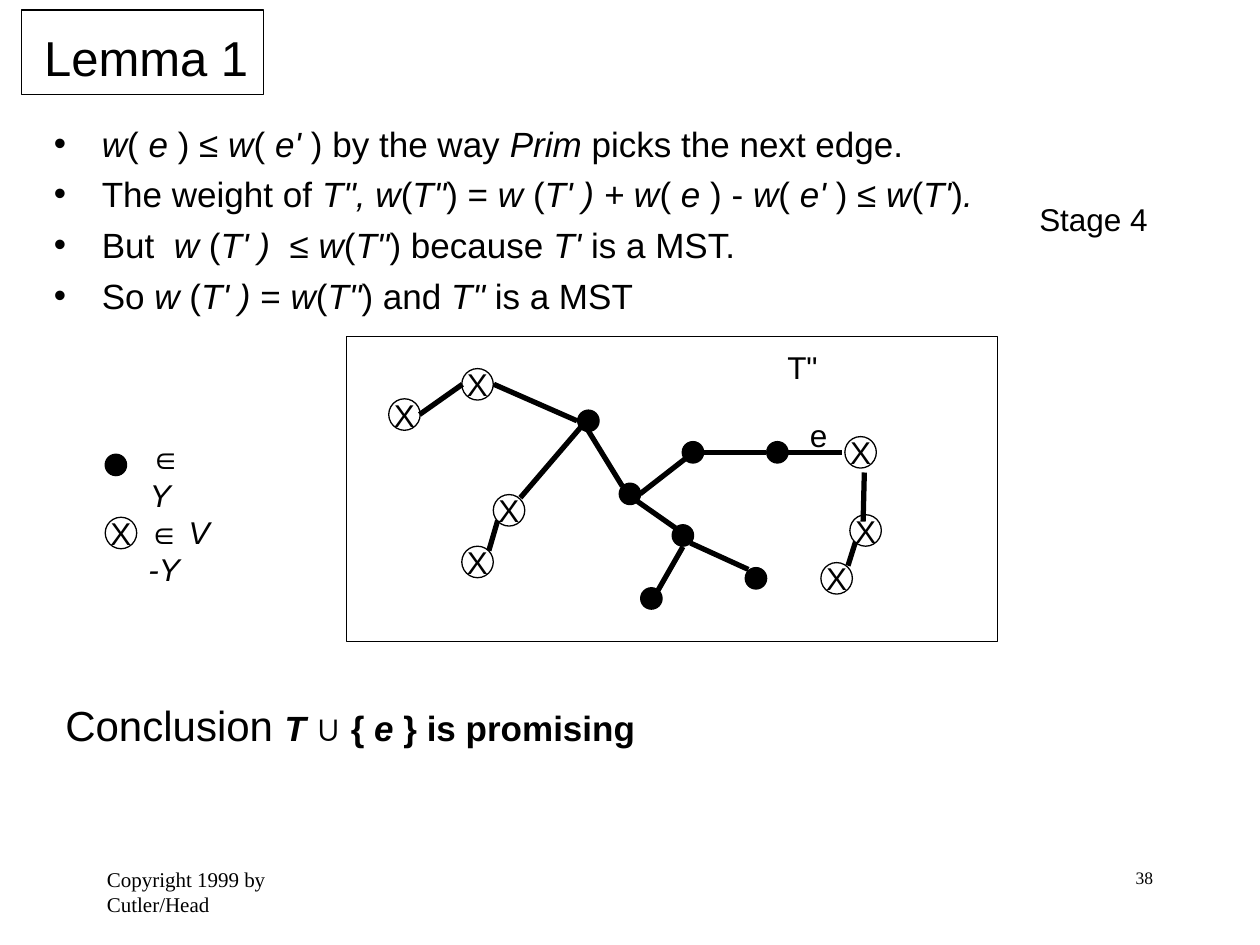
from lxml.etree import SubElement
from pptx import Presentation
from pptx.dml.color import RGBColor
from pptx.enum.shapes import MSO_CONNECTOR, MSO_SHAPE
from pptx.enum.text import MSO_ANCHOR, MSO_AUTO_SIZE, PP_ALIGN
from pptx.oxml.ns import qn
from pptx.util import Inches, Pt

BLACK = "000000"
WHITE = "FFFFFF"

BULLETS = [
    "*w*( *e *) ≤ *w*( *e' *) by the way *Prim *picks the next edge.",
    "The weight of *T\", w*(*T\"*) = *w *(*T' ) + w*( *e *) - *w*( *e' *) ≤ *w*(*T'*)*.*",
    "But  *w *(*T' )  *≤ *w*(*T\"*) because *T'* is a MST.",
    "So *w *(*T' ) *= *w*(*T\"*) and *T\"* is a MST",
]
MEMBER_NODES = [(1.92, 0.67), (2.25, 1.25), (2.67, 1.58), (2.75, 0.92),
                (3.42, 0.92), (2.42, 2.08), (3.25, 1.92)]
OUTSIDE_NODES = [(1.04, 0.38), (1.04, 1.79), (1.29, 1.38), (4.12, 1.54),
                 (4.08, 0.92), (3.89, 1.92), (0.46, 0.62)]
EDGES = [
    (1.92, 0.75, 2.19, 1.19), (2.33, 1.25, 2.69, 0.97),
    (2.83, 0.92, 3.33, 0.92), (2.31, 1.31, 2.61, 1.52),
    (2.67, 1.67, 2.47, 2.02), (2.73, 1.64, 3.19, 1.85),
    (1.83, 0.67, 1.17, 0.38), (0.92, 0.38, 0.58, 0.62),
    (1.38, 1.28, 1.86, 0.72), (1.2, 1.46, 1.13, 1.7),
    (3.5, 0.92, 3.93, 0.92), (3.98, 1.82, 4.04, 1.63),
    (4.11, 1.08, 4.1, 1.47),
]


def color(value):
    return RGBColor.from_string(value)


def format_run(run, size, name="Arial", bold=False, italic=False):
    run.font.size = Pt(size)
    run.font.name = name
    run.font.bold = bold
    run.font.italic = italic
    run.font.color.rgb = color(BLACK)


def write(paragraph, marked_text, size, name="Arial", bold=False):
    for index, part in enumerate(marked_text.split("*")):
        if part:
            run = paragraph.add_run()
            run.text = part
            format_run(run, size, name, bold, italic=index % 2 == 1)


def add_text(slide, left, top, width, height, marked_text="", size=18,
             name="Arial", wrap=True):
    box = slide.shapes.add_textbox(
        Inches(left), Inches(top), Inches(width), Inches(height))
    box.text_frame.word_wrap = wrap
    write(box.text_frame.paragraphs[0], marked_text, size, name)
    return box.text_frame


def add_outlined(slide, kind, left, top, width, height, fill=None):
    shape = slide.shapes.add_shape(
        kind, Inches(left), Inches(top), Inches(width), Inches(height))
    shape.shadow.inherit = False
    if fill:
        shape.fill.solid()
        shape.fill.fore_color.rgb = color(fill)
    else:
        shape.fill.background()
    shape.line.color.rgb = color(BLACK)
    shape.line.width = Pt(0.75)
    return shape


def add_node(slide, center_x, center_y, member):
    diameter = 0.17 if member else 0.25
    node = add_outlined(slide, MSO_SHAPE.OVAL, center_x - diameter / 2,
                        center_y - diameter / 2, diameter, diameter,
                        BLACK if member else WHITE)
    if not member:
        text_frame = node.text_frame
        text_frame.word_wrap = False
        text_frame.vertical_anchor = MSO_ANCHOR.MIDDLE
        text_frame.paragraphs[0].alignment = PP_ALIGN.CENTER
        write(text_frame.paragraphs[0], "X", 18)


def add_edge(slide, start_x, start_y, end_x, end_y):
    edge = slide.shapes.add_connector(
        MSO_CONNECTOR.STRAIGHT, Inches(start_x), Inches(start_y),
        Inches(end_x), Inches(end_y))
    edge.line.color.rgb = color(BLACK)
    edge.line.width = Pt(3)
    SubElement(edge._element.spPr, qn("a:effectLst"))


def add_title(slide, left, top, width, height):
    title = slide.shapes.title
    title.left, title.top = Inches(left + 0.08), Inches(top + 0.09)
    title.width, title.height = Inches(width - 0.1), Inches(height - 0.1)
    text_frame = title.text_frame
    text_frame.text = "Lemma 1"
    text_frame.word_wrap = False
    text_frame.auto_size = MSO_AUTO_SIZE.NONE
    text_frame.vertical_anchor = MSO_ANCHOR.TOP
    paragraph = text_frame.paragraphs[0]
    paragraph.alignment = PP_ALIGN.LEFT
    format_run(paragraph.runs[0], 28)
    add_outlined(slide, MSO_SHAPE.RECTANGLE, left, top, width, height)


def add_bullets(slide, left, top, width, height):
    text_frame = add_text(slide, left, top, width, height)
    for index, line in enumerate(BULLETS):
        paragraph = text_frame.add_paragraph() if index else text_frame.paragraphs[0]
        if index:
            paragraph.space_before = Pt(5)
        properties = paragraph._p.get_or_add_pPr()
        properties.set("marL", str(Inches(0.38)))
        properties.set("indent", str(Inches(-0.38)))
        SubElement(properties, qn("a:buFont"), typeface="Arial")
        SubElement(properties, qn("a:buChar"), char="•")
        write(paragraph, line, 20)


def add_legend(slide, left, top):
    add_node(slide, left + 0.09, top + 0.26, True)
    add_node(slide, left + 0.13, top + 0.8, False)
    add_text(slide, left + 0.26, top, 0.61, 0.4, "∈ *Y*")
    add_text(slide, left + 0.25, top + 0.59, 0.75, 0.4, "∈ *V -Y*")


def add_tree(slide, left, top, width, height):
    for nodes, member in ((MEMBER_NODES, True), (OUTSIDE_NODES, False)):
        for x, y in nodes:
            add_node(slide, left + x, top + y, member)
    for start_x, start_y, end_x, end_y in EDGES:
        add_edge(slide, left + start_x, top + start_y, left + end_x, top + end_y)
    add_outlined(slide, MSO_SHAPE.RECTANGLE, left, top, width, height)
    add_text(slide, left + 3.58, top + 0.58, 0.34, 0.4, "e", wrap=False)
    add_text(slide, left + 3.4, top + 0.04, 0.44, 0.4, "T\"", wrap=False)


def add_conclusion(slide, left, top, width, height):
    text_frame = add_text(slide, left, top, width, height, "Conclusion ", 24)
    write(text_frame.paragraphs[0], "*T *∪ { *e* } is promising", 20, bold=True)


def add_footer(slide, left, top, width, height):
    box_width = 2.08
    add_text(slide, left, top, box_width, height,
             "Copyright 1999 by Cutler/Head", 12, "Times New Roman")
    number = add_text(slide, left + width - box_width, top, box_width, height,
                      "38", 10, "Times New Roman")
    number.paragraphs[0].alignment = PP_ALIGN.RIGHT


def main():
    presentation = Presentation()
    presentation.slide_width = Inches(10)
    presentation.slide_height = Inches(7.5)
    slide = presentation.slides.add_slide(presentation.slide_layouts[5])
    add_title(slide, 0.17, 0.08, 1.92, 0.67)
    add_bullets(slide, 0.33, 0.92, 9.33, 2)
    add_legend(slide, 0.83, 3.43)
    add_tree(slide, 2.75, 2.67, 5.17, 2.42)
    add_conclusion(slide, 0.42, 5.5, 9.33, 1.25)
    add_text(slide, 8.15, 1.54, 1.06, 0.4, "Stage 4", wrap=False)
    add_footer(slide, 0.75, 6.83, 8.5, 0.5)
    presentation.save("out.pptx")


if __name__ == "__main__":
    main()
